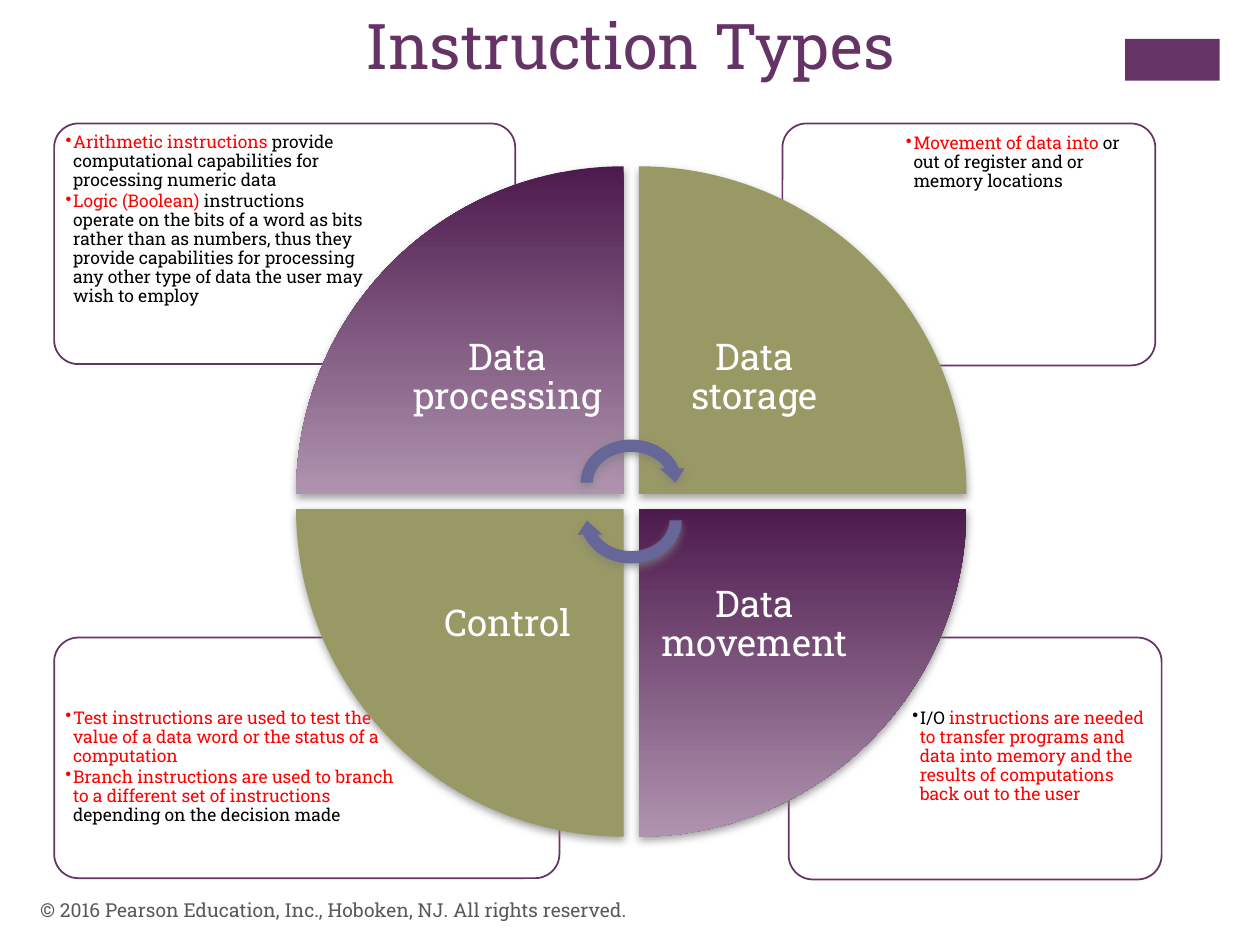
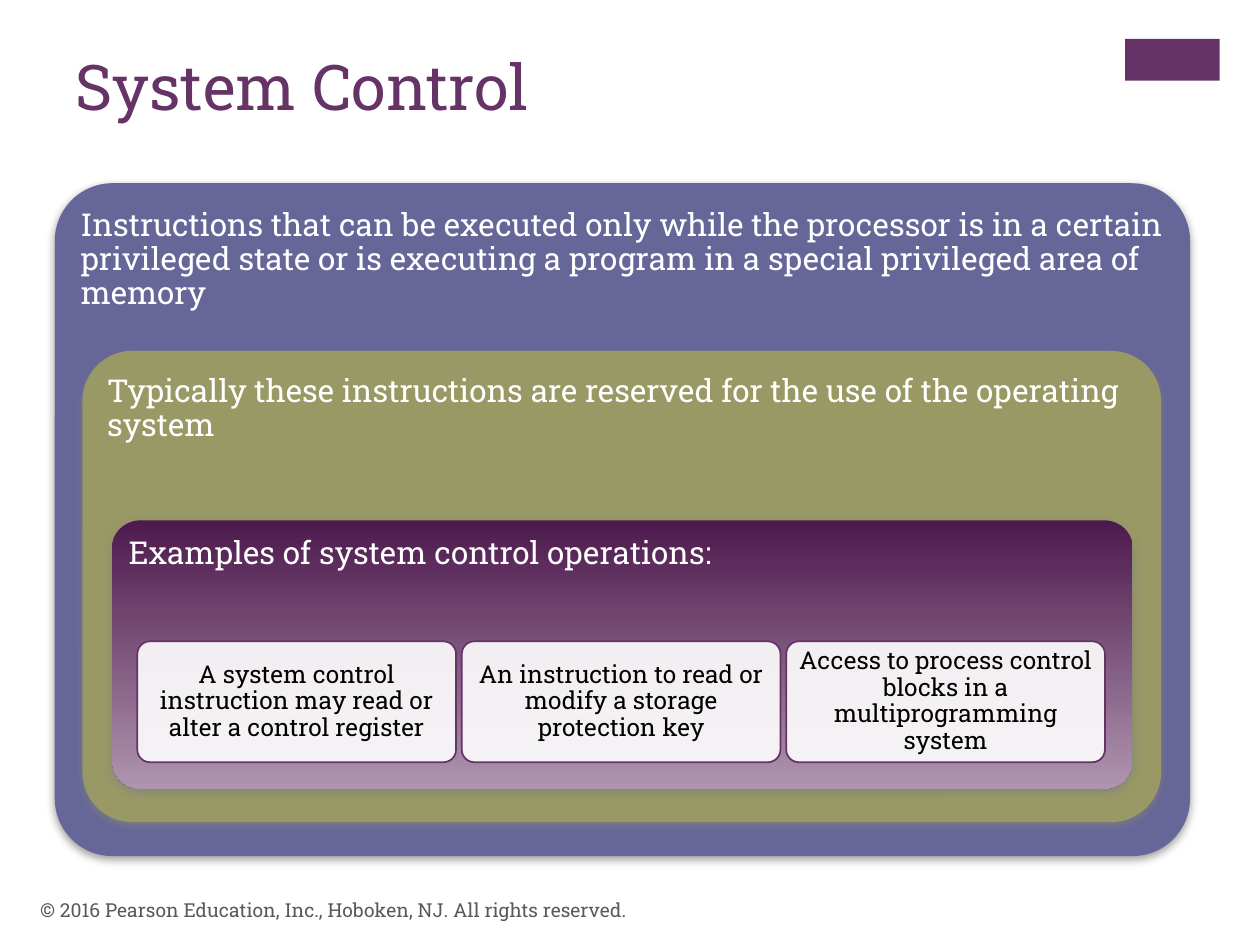
"""Two slides on instruction types and system control."""
from dataclasses import dataclass
from itertools import product
from typing import NamedTuple, Optional

from lxml import etree
from pptx import Presentation
from pptx import util as u
from pptx.dml.color import RGBColor
from pptx.enum import shapes, text
from pptx.oxml.ns import qn

KIND = shapes.MSO_SHAPE
ALIGN = text.PP_ALIGN
ANCHOR = text.MSO_ANCHOR
COLS, ROWS = 100, 75
WIDE, HIGH = u.Inches(10), u.Inches(7.5)


@dataclass(frozen=True)
class Theme:
    """Colours, gradient and type sizes of the deck."""
    font: str = "Roboto Slab"
    plum: str = "663366"
    blue: str = "666699"
    olive: str = "999966"
    white: str = "FFFFFF"
    black: str = "000000"
    red: str = "FF0000"
    gray: str = "595959"
    shade: str = "808080"
    blend: tuple = ("4D1A4D", "AF94AF")
    title: float = 36
    wedge: float = 21
    panel: float = 18
    tile: float = 14
    foot: float = 11
    note: float = 10


T = Theme()


class Spot(NamedTuple):
    """Left, top, width and height in grid columns and rows."""
    x: float
    y: float
    w: float
    h: float

    def size(self) -> tuple:
        """Return the four lengths in slide units."""
        return (round(self.x * WIDE / COLS), round(self.y * HIGH / ROWS),
                round(self.w * WIDE / COLS), round(self.h * HIGH / ROWS))

    def trim(self, pad: float) -> "Spot":
        """Return the spot shrunk by pad on all sides."""
        return Spot(self.x + pad, self.y + pad, self.w - 2 * pad, self.h - 2 * pad)


class Card(NamedTuple):
    """A framed note: its frame, its text spot and its paragraphs."""
    frame: Spot
    body: Spot
    paras: list
    pad: float = 0.05


class Wedge(NamedTuple):
    """A quarter of the wheel."""
    label: str
    col: int
    row: int
    turn: int
    fill: object


class Panel(NamedTuple):
    """One of the nested panels."""
    label: str
    spot: Spot
    pad: float
    fill: object
    line: Optional[str]
    curve: float = 0.105


CARDS = [
    Card(Spot(62.6, 50.6, 29.6, 19.2), Spot(71.9, 55.8, 19.9, 13.6), [
        [("I/O ", T.black),
         ("instructions are needed to transfer programs and data into memory "
          "and the results of computations back out to the user", T.red)]]),
    Card(Spot(4.3, 50.6, 40.1, 19.1), Spot(4.7, 55.8, 27.3, 13.5), [
        [("Test instructions are used to test the value of a data word or the "
          "status of a computation", T.red)],
        [("Branch instructions are used to branch to a different set of "
          "instructions ", T.red), ("depending on the decision made", T.black)]]),
    Card(Spot(62.1, 9.8, 29.6, 19.2), Spot(71.4, 10.2, 19.9, 13.6), [
        [("Movement of data into ", T.red),
         ("or out of register and or memory locations", T.black)]]),
    Card(Spot(4.3, 9.8, 36.6, 19.1), Spot(4.8, 10.2, 24.8, 13.5), [
        [("Arithmetic instructions ", T.red),
         ("provide computational capabilities for processing numeric data", T.black)],
        [("Logic (Boolean) ", T.red),
         ("instructions operate on the bits of a word as bits rather than as "
          "numbers, thus they provide capabilities for processing any other "
          "type of data the user may wish to employ", T.black)]], 0.04),
]

WEDGES = [
    Wedge("Data processing", 0, 0, 0, T.blend),
    Wedge("Data storage", 1, 0, 90, T.olive),
    Wedge("Data movement", 1, 1, 180, T.blend),
    Wedge("Control", 0, 1, 270, T.olive),
]

PANELS = [
    Panel("Instructions that can be executed only while the processor is in a "
          "certain privileged state or is executing a program in a special "
          "privileged area of memory",
          Spot(4.4, 14.6, 90, 53.3), 1.3, T.blue, T.blue, 0.085),
    Panel("Typically these instructions are reserved for the use of the "
          "operating system",
          Spot(6.6, 27.9, 85.5, 37.3), 1.2, T.olive, T.olive),
    Panel("Examples of system control operations:",
          Spot(8.9, 41.3, 81, 21.3), 0.6, T.blend, None),
]

TILES = [
    "A system control instruction may read or alter a control register",
    "An instruction to read or modify a storage protection key",
    "Access to process control blocks in a multiprogramming system",
]


def tag(root, name: str, **attrs):
    """Append a drawing element with attributes."""
    return etree.SubElement(root, qn(name), {k: str(v) for k, v in attrs.items()})


def write(frame, paras, *, size: float, color: str = T.black, align=ALIGN.LEFT,
          anchor=ANCHOR.TOP, pad: tuple = (0.1, 0.05), lead: float = 1,
          mark: bool = False) -> None:
    """Fill a text frame with one string or with paragraphs of coloured runs."""
    if isinstance(paras, str):
        paras = [[(paras, color)]]
    frame.word_wrap = True
    frame.vertical_anchor = anchor
    frame.margin_left = frame.margin_right = u.Inches(pad[0])
    frame.margin_top = frame.margin_bottom = u.Inches(pad[1])
    for i, runs in enumerate(paras):
        para = frame.add_paragraph() if i else frame.paragraphs[0]
        para.alignment = align
        para.line_spacing = lead
        if i:
            para.space_before = u.Pt(1.2)
        if mark:
            props = para._p.get_or_add_pPr()
            props.set("marL", str(u.Inches(0.06)))
            props.set("indent", str(-u.Inches(0.06)))
            tag(props, "a:buChar", char="•")
        for words, hue in runs:
            run = para.add_run()
            run.text = words
            run.font.name = T.font
            run.font.size = u.Pt(size)
            run.font.color.rgb = RGBColor.from_string(hue)


def label(slide, spot: Spot, paras, **style) -> None:
    """Add a text box."""
    write(slide.shapes.add_textbox(*spot.size()).text_frame, paras, **style)


def draw(slide, kind, spot: Spot, fill, *, line: Optional[str] = None,
         width: float = 1, curve: Optional[float] = None, turn: float = 0,
         alpha: int = 100, glow: bool = False):
    """Add a preset shape with a plain or blended fill."""
    shape = slide.shapes.add_shape(kind, *spot.size())
    shape.rotation = turn
    shape.shadow.inherit = False
    props = shape._element.spPr
    if curve is not None:
        shape.adjustments[0] = curve
    if isinstance(fill, tuple):
        shape.fill.gradient()
        shape.fill.gradient_angle = 270
        for stop, hue, place in zip(shape.fill.gradient_stops, fill, (0, 1)):
            stop.color.rgb = RGBColor.from_string(hue)
            stop.position = place
        props.find(qn("a:gradFill")).set("rotWithShape", "0")
    else:
        shape.fill.solid()
        shape.fill.fore_color.rgb = RGBColor.from_string(fill)
        if alpha < 100:
            hue = props.find(qn("a:solidFill")).find(qn("a:srgbClr"))
            tag(hue, "a:alpha", val=alpha * 1000)
    if line:
        shape.line.color.rgb = RGBColor.from_string(line)
        shape.line.width = u.Pt(width)
    else:
        shape.line.fill.background()
    if glow:
        cast = tag(props.find(qn("a:effectLst")), "a:outerShdw",
                   blurRad=u.Pt(5), dist=u.Pt(2), dir=5400000, rotWithShape=0)
        tag(tag(cast, "a:srgbClr", val=T.shade), "a:alpha", val=75000)
    return shape


def frame(slide, spot: Spot, curve: float) -> None:
    """Draw a white outlined card."""
    draw(slide, KIND.ROUNDED_RECTANGLE, spot, T.white, line=T.plum,
         curve=curve, alpha=90)


def start(deck, title: str, spot: Spot, align):
    """Add a slide with its band, title and footer."""
    slide = deck.slides.add_slide(deck.slide_layouts[5])
    draw(slide, KIND.RECTANGLE, Spot(89.3, 3.1, 7.5, 3.3), T.plum)
    head = slide.shapes.title
    head.left, head.top, head.width, head.height = spot.size()
    write(head.text_frame, title, size=T.title, color=T.plum, align=align)
    label(slide, Spot(2.2, 70.2, 67, 4),
          "© 2016 Pearson Education, Inc., Hoboken, NJ. All rights reserved.",
          size=T.foot, color=T.gray, anchor=ANCHOR.MIDDLE)
    return slide


def wheel(deck) -> None:
    """Build the slide with the four-part wheel."""
    slide = start(deck, "Instruction Types", Spot(0, 0, 100, 12.2), ALIGN.CENTER)
    for card in CARDS:
        frame(slide, card.frame, 0.1)
        label(slide, card.body, card.paras, size=T.note,
              pad=(card.pad, card.pad), lead=0.9, mark=True)
    side, step, inner = 26, 27.2, 18.4
    for part in WEDGES:
        x, y = 23.5 + part.col * step, 13.2 + part.row * step
        draw(slide, KIND.PIE_WEDGE, Spot(x, y, side, side), part.fill,
             turn=part.turn, glow=True)
        gap = side - inner
        label(slide, Spot(x + gap * (1 - part.col), y + gap * (1 - part.row),
                          inner, inner),
              part.label, size=T.wedge, color=T.white, align=ALIGN.CENTER,
              anchor=ANCHOR.MIDDLE, pad=(0.16, 0.16), lead=0.9)
    for y, turn in ((34.4, 0), (37.4, 180)):
        draw(slide, KIND.CIRCULAR_ARROW, Spot(45.6, y, 9, 7.8), T.blue,
             turn=turn, glow=True)


def nest(deck) -> None:
    """Build the slide with nested panels."""
    slide = start(deck, "System Control", Spot(5, 3.3, 82.6, 12.2), ALIGN.LEFT)
    for part in PANELS:
        draw(slide, KIND.ROUNDED_RECTANGLE, part.spot, part.fill, line=part.line,
             width=0.75, curve=part.curve, glow=True)
        label(slide, part.spot.trim(part.pad), part.label, size=T.panel,
              color=T.white, pad=(0.07, 0.07), lead=0.9)
    for i, words in enumerate(TILES):
        spot = Spot(10.9 + 25.75 * i, 50.9, 25.3, 9.6)
        frame(slide, spot, 0.105)
        label(slide, spot.trim(0.3), words, size=T.tile, align=ALIGN.CENTER,
              anchor=ANCHOR.MIDDLE, pad=(0.06, 0.06), lead=0.9)


def main() -> None:
    """Build and save the deck."""
    deck = Presentation()
    deck.slide_width, deck.slide_height = WIDE, HIGH
    wheel(deck)
    nest(deck)
    deck.save("out.pptx")


if __name__ == "__main__":
    main()
